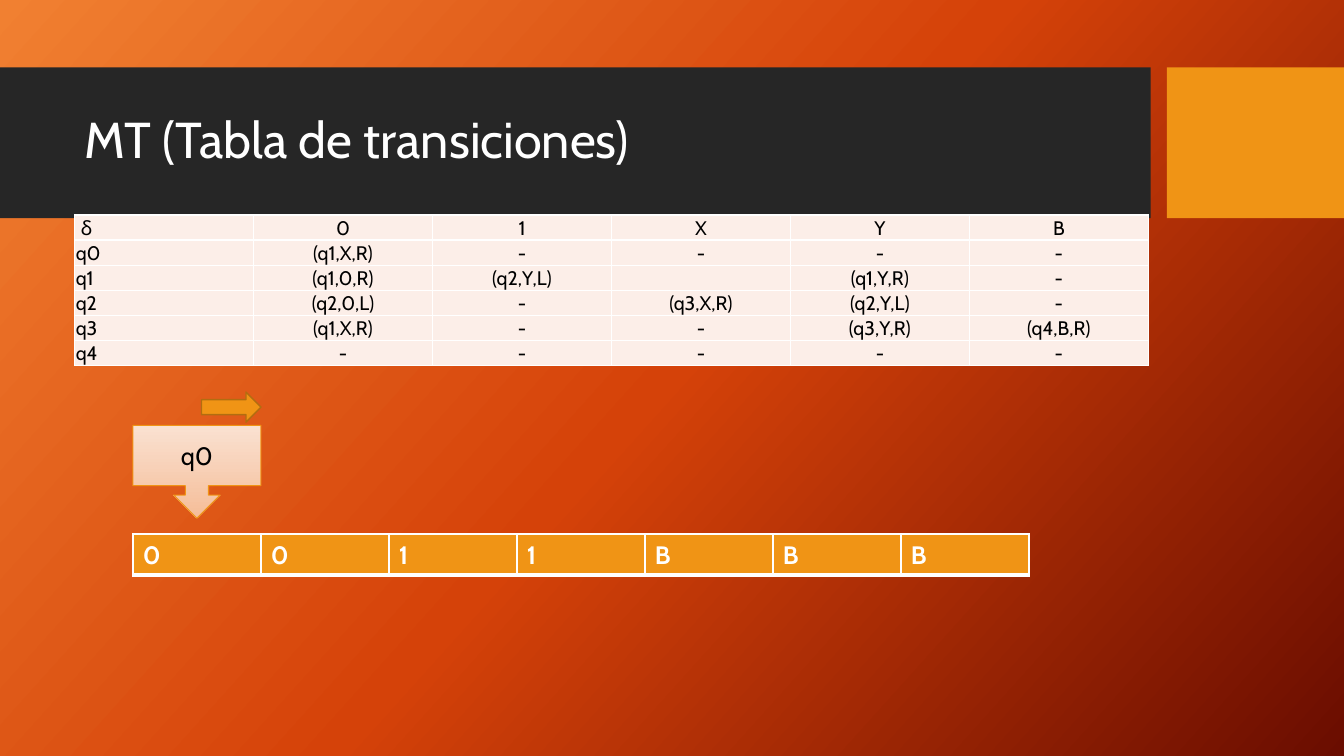
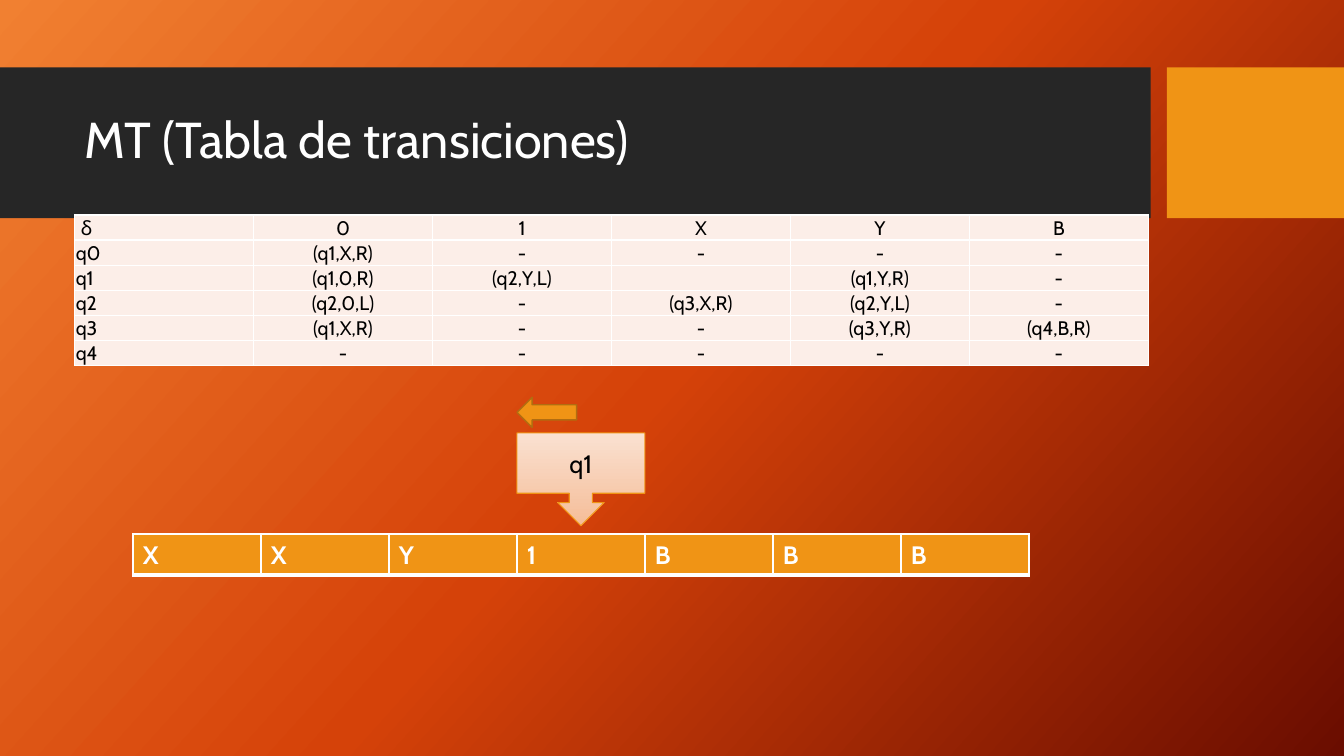
from lxml.etree import SubElement
from pptx import Presentation
from pptx.dml.color import RGBColor
from pptx.enum.shapes import MSO_CONNECTOR, MSO_SHAPE
from pptx.enum.text import MSO_ANCHOR, PP_ALIGN
from pptx.oxml.ns import qn
from pptx.util import Cm, Pt

COLORS = {
    "band": "262626", "accent": "F09415", "accent_dark": "B26D10",
    "white": "FFFFFF", "black": "000000", "table_cell": "FCEEE8",
}
BACKGROUND_STOPS = ((0, "F18031"), (50, "D54209"), (100, "6A0D00"))
HEAD_STOPS = ((0, "FAE1D1"), (100, "F5BD98"))

FONTS = {
    "title": {"name": "Cabin", "size": Pt(36), "bold": False},
    "table": {"name": "Cabin", "size": Pt(14), "bold": False},
    "tape": {"name": "Cabin", "size": Pt(18), "bold": True},
    "state": {"name": "Cabin", "size": Pt(18), "bold": False},
}
TABLE_CELL = {
    "margin_left": Cm(0.03), "margin_right": Cm(0.03), "margin_top": Cm(0.03),
    "margin_bottom": Cm(0), "vertical_anchor": MSO_ANCHOR.BOTTOM,
}
TAPE_CELL = {
    "margin_left": Cm(0.25), "margin_right": Cm(0), "margin_top": Cm(0.13),
    "margin_bottom": Cm(0), "vertical_anchor": MSO_ANCHOR.TOP,
}

TITLE = "MT (Tabla de transiciones)"
TRANSITIONS = (
    ("δ", "0", "1", "X", "Y", "B"),
    ("q0", "(q1,X,R)", "-", "-", "-", "-"),
    ("q1", "(q1,0,R)", "(q2,Y,L)", "", "(q1,Y,R)", "-"),
    ("q2", "(q2,0,L)", "-", "(q3,X,R)", "(q2,Y,L)", "-"),
    ("q3", "(q1,X,R)", "-", "-", "(q3,Y,R)", "(q4,B,R)"),
    ("q4", "-", "-", "-", "-", "-"),
)
# Each step: tape, state, head cell, head top, arrow left, arrow top, arrow rotation
STEPS = (
    ("0011BBB", "q0", 0, 10.72, 5.08, 9.88, 0),
    ("XXY1BBB", "q1", 3, 10.91, 13.03, 10.01, 180),
)
COLUMN_WIDTH, ROW_HEIGHT = 4.51, 0.63
TAPE_LEFT, TAPE_TOP, TAPE_WIDTH, TAPE_HEIGHT = 3.35, 13.46, 22.58, 1.02
TAPE_RIGHT, TAPE_BOTTOM = TAPE_LEFT + TAPE_WIDTH, TAPE_TOP + TAPE_HEIGHT
OVERHANG = 0.02


def write(frame, text, style, color, align=PP_ALIGN.LEFT):
    paragraph = frame.paragraphs[0]
    paragraph.alignment = align
    run = paragraph.add_run()
    run.text = text
    for name, value in FONTS[style].items():
        setattr(run.font, name, value)
    run.font.color.rgb = RGBColor.from_string(COLORS[color])
    return paragraph


def add_box(slide, kind, box, fill, line=None, line_width=1):
    shape = slide.shapes.add_shape(kind, *map(Cm, box))
    shape.shadow.inherit = False
    shape.fill.solid()
    shape.fill.fore_color.rgb = RGBColor.from_string(COLORS[fill])
    if line:
        shape.line.color.rgb = RGBColor.from_string(COLORS[line])
        shape.line.width = Pt(line_width)
    else:
        shape.line.fill.background()
    return shape


deck = Presentation()
deck.slide_width, deck.slide_height = Cm(33.87), Cm(19.05)

for tape, state, head_cell, head_top, arrow_left, arrow_top, rotation in STEPS:
    slide = deck.slides.add_slide(deck.slide_layouts[6])

    # Title band
    add_box(slide, MSO_SHAPE.RECTANGLE, (0, 1.7, 29, 3.8), "band")
    add_box(slide, MSO_SHAPE.RECTANGLE, (29.41, 1.7, 4.46, 3.8), "accent")
    title = slide.shapes.add_textbox(Cm(1.88), Cm(2.08), Cm(26.7), Cm(3)).text_frame
    title.word_wrap = True
    title.vertical_anchor = MSO_ANCHOR.MIDDLE
    write(title, TITLE, "title", "white").line_spacing = 0.9

    # Transition table
    row_count, column_count = len(TRANSITIONS), len(TRANSITIONS[0])
    transitions = slide.shapes.add_table(
        row_count, column_count, Cm(1.88), Cm(5.42),
        Cm(COLUMN_WIDTH * column_count), Cm(ROW_HEIGHT * row_count)).table
    transitions.first_row = transitions.horz_banding = False
    for row, texts in enumerate(TRANSITIONS):
        transitions.rows[row].height = Cm(ROW_HEIGHT)
        for column, text in enumerate(texts):
            cell = transitions.cell(row, column)
            for name, value in TABLE_CELL.items():
                setattr(cell, name, value)
            for side in ("lnL", "lnR", "lnT", "lnB"):
                border = SubElement(cell._tc.get_or_add_tcPr(), qn(f"a:{side}"), w=str(Pt(1)))
                SubElement(SubElement(border, qn("a:solidFill")), qn("a:srgbClr"),
                           val=COLORS["white"])
            cell.fill.solid()
            cell.fill.fore_color.rgb = RGBColor.from_string(COLORS["table_cell"])
            if text:
                write(cell.text_frame, text, "table", "black",
                      PP_ALIGN.CENTER if column else PP_ALIGN.LEFT)
            else:
                SubElement(cell.text_frame.paragraphs[0]._p, qn("a:endParaRPr"), sz="1400")
    transitions.cell(0, 0).margin_left = Cm(0.15)

    # Tape cells
    cell_width = TAPE_WIDTH / len(tape)
    edges = [TAPE_LEFT + i * cell_width for i in range(len(tape) + 1)]
    for left, symbol in zip(edges, tape):
        tape_cell = add_box(slide, MSO_SHAPE.RECTANGLE,
                            (left, TAPE_TOP, cell_width, TAPE_HEIGHT), "accent").text_frame
        for name, value in TAPE_CELL.items():
            setattr(tape_cell, name, value)
        write(tape_cell, symbol, "tape", "white")

    # Tape rules
    rules = [(x, TAPE_TOP - OVERHANG, x, TAPE_BOTTOM + OVERHANG, 1) for x in edges]
    rules += [(TAPE_LEFT - OVERHANG, y, TAPE_RIGHT + OVERHANG, y, width)
              for y, width in ((TAPE_TOP, 1), (TAPE_BOTTOM, 3))]
    for *ends, width in rules:
        rule = slide.shapes.add_connector(MSO_CONNECTOR.STRAIGHT, *map(Cm, ends))
        rule.line.color.rgb = RGBColor.from_string(COLORS["white"])
        rule.line.width = Pt(width)
        SubElement(rule.element.spPr, qn("a:effectLst"))

    # Reading head and direction of its move
    head = add_box(slide, MSO_SHAPE.DOWN_ARROW_CALLOUT,
                   (edges[head_cell], head_top, cell_width, 2.34), "accent", "accent", 0.75)
    head.text_frame.vertical_anchor = MSO_ANCHOR.MIDDLE
    write(head.text_frame, state, "state", "black", PP_ALIGN.CENTER)
    move = add_box(slide, MSO_SHAPE.RIGHT_ARROW, (arrow_left, arrow_top, 1.5, 0.76),
                   "accent", "accent_dark")
    move.rotation = rotation

    # Gradients of the background and the head
    for owner, angle, stops in ((slide.background, 318, BACKGROUND_STOPS),
                                (head, 270, HEAD_STOPS)):
        owner.fill.gradient()
        owner.fill.gradient_angle = angle
        stop_list = owner.element.find(f".//{qn('a:gsLst')}")
        stop_list[:] = []
        for percent, color in stops:
            stop = SubElement(stop_list, qn("a:gs"), pos=str(percent * 1000))
            SubElement(stop, qn("a:srgbClr"), val=color)

deck.save("out.pptx")
